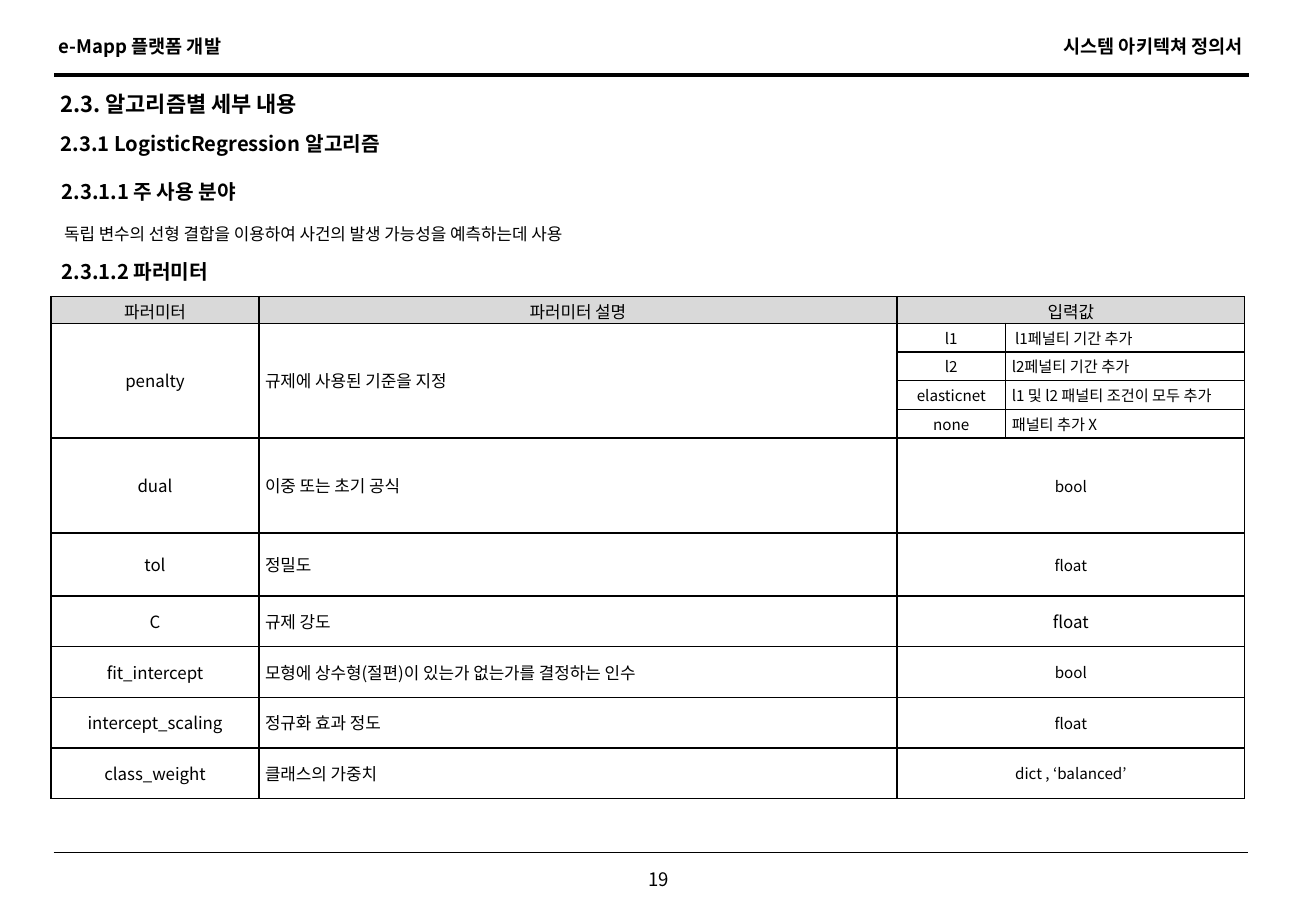
from dataclasses import dataclass

from lxml.etree import SubElement
from pptx import Presentation
from pptx.dml.color import RGBColor
from pptx.enum.shapes import MSO_CONNECTOR
from pptx.enum.text import MSO_ANCHOR, PP_ALIGN
from pptx.oxml.ns import qn
from pptx.slide import Slide
from pptx.table import Table, _Cell
from pptx.text.text import _Paragraph
from pptx.util import Cm, Pt

BLACK = RGBColor(0x00, 0x00, 0x00)
HEADER_GRAY = RGBColor(0xD9, 0xD9, 0xD9)
FONT = "Noto Sans CJK KR"
LEFT, CENTER, RIGHT = PP_ALIGN.LEFT, PP_ALIGN.CENTER, PP_ALIGN.RIGHT
TOP, MIDDLE = MSO_ANCHOR.TOP, MSO_ANCHOR.MIDDLE


@dataclass
class Label:
    text: str
    left: float
    top: float
    width: float
    height: float
    size: float
    bold: bool = True
    align: PP_ALIGN = LEFT
    anchor: MSO_ANCHOR = MIDDLE
    margin_x: float = 0.25
    margin_y: float = 0.13


@dataclass
class Rule:
    left: float
    top: float
    width: float
    weight: float


@dataclass
class Parameter:
    name: str
    description: str
    value: str
    height: float
    value_size: float = 9


LABELS = [
    # Page header and footer
    Label("e-Mapp 플랫폼 개발", 0.97, 0.61, 4.32, 0.74, 11, anchor=TOP),
    Label("시스템 아키텍쳐 정의서", 21.54, 0.61, 4.7, 0.74, 11, align=RIGHT, anchor=TOP),
    Label("19", 13.23, 18.03, 1.09, 0.74, 11, bold=False, align=CENTER, anchor=TOP),
    # Headings and usage
    Label("2.3. 알고리즘별 세부 내용", 1.02, 1.65, 24.77, 1.04, 13),
    Label("2.3.1 LogisticRegression 알고리즘", 1.02, 2.49, 24.77, 1.04, 12),
    Label("2.3.1.1 주 사용 분야", 1.04, 3.48, 24.77, 1.04, 12),
    Label("독립 변수의 선형 결합을 이용하여 사건의 발생 가능성을 예측하는데 사용",
          1.24, 4.45, 24.79, 0.86, 10, bold=False, margin_x=0.1, margin_y=0.1),
    Label("2.3.1.2 파러미터", 1.04, 5.16, 24.77, 1.04, 12),
]
RULES = [Rule(1.14, 1.57, 24.97, 2.75), Rule(1.12, 17.83, 24.97, 0.75)]

TABLE_LEFT, TABLE_TOP = 1.07, 6.2
COLUMN_WIDTHS = [4.34, 13.34, 2.27, 5.0]
HEADER_HEIGHT, PENALTY_HEIGHT = 0.56, 0.6
HEADINGS = ["파러미터", "파러미터 설명", "입력값"]
PENALTIES = [
    ("l1", " l1페널티 기간 추가"),
    ("l2", "l2페널티 기간 추가"),
    ("elasticnet", "l1 및 l2 패널티 조건이 모두 추가"),
    ("none", "패널티 추가 X"),
]
PARAMETERS = [
    Parameter("dual", "이중 또는 초기 공식", "bool", 1.99),
    Parameter("tol", "정밀도", "float", 1.31),
    Parameter("C", "규제 강도", "float", 1.06, 10),
    Parameter("fit_intercept", "모형에 상수형(절편)이 있는가 없는가를 결정하는 인수", "bool", 1.06),
    Parameter("intercept_scaling", "정규화 효과 정도", "float", 1.06),
    Parameter("class_weight", "클래스의 가중치", "dict , ‘balanced’", 1.06),
]


def write(paragraph: _Paragraph, text: str, size: float, align: PP_ALIGN, bold: bool = False) -> None:
    paragraph.alignment = align
    run = paragraph.add_run()
    run.text = text
    for key, value in {"size": Pt(size), "bold": bold, "name": FONT}.items():
        setattr(run.font, key, value)
    run.font.color.rgb = BLACK
    SubElement(run.font._element, qn("a:ea"), typeface=FONT)


def draw_label(slide: Slide, label: Label) -> None:
    box = slide.shapes.add_textbox(Cm(label.left), Cm(label.top), Cm(label.width), Cm(label.height))
    frame_format = {
        "word_wrap": True,
        "vertical_anchor": label.anchor,
        "margin_left": Cm(label.margin_x),
        "margin_right": Cm(label.margin_x),
        "margin_top": Cm(label.margin_y),
        "margin_bottom": Cm(label.margin_y),
    }
    for key, value in frame_format.items():
        setattr(box.text_frame, key, value)
    write(box.text_frame.paragraphs[0], label.text, label.size, label.align, label.bold)


def draw_rule(slide: Slide, rule: Rule) -> None:
    line = slide.shapes.add_connector(
        MSO_CONNECTOR.STRAIGHT, Cm(rule.left), Cm(rule.top), Cm(rule.left + rule.width), Cm(rule.top))
    line.line.color.rgb = BLACK
    line.line.width = Pt(rule.weight)
    SubElement(line._element.spPr, qn("a:effectLst"))


def style_cell(cell: _Cell, is_header: bool) -> None:
    cell_format = {
        "vertical_anchor": MIDDLE,
        "margin_left": Cm(0.13),
        "margin_right": Cm(0.13),
        "margin_top": Cm(0.05),
        "margin_bottom": Cm(0 if is_header else 0.05),
    }
    for key, value in cell_format.items():
        setattr(cell, key, value)
    properties = cell._tc.get_or_add_tcPr()
    for side in ("lnL", "lnR", "lnT", "lnB"):
        border = SubElement(properties, qn(f"a:{side}"), w=str(Pt(1)))
        fill = SubElement(border, qn("a:solidFill"))
        SubElement(fill, qn("a:srgbClr"), val=str(BLACK))
    if is_header:
        cell.fill.solid()
        cell.fill.fore_color.rgb = HEADER_GRAY
    else:
        cell.fill.background()


def fill_row(table: Table, row: int, texts: list[str], value_size: float = 10,
             description_align: PP_ALIGN = LEFT) -> None:
    """Write name, description and a value that spans both value columns."""
    table.cell(row, 2).merge(table.cell(row, 3))
    formats = [(10, CENTER), (10, description_align), (value_size, CENTER)]
    for column, (text, (size, align)) in enumerate(zip(texts, formats)):
        write(table.cell(row, column).text_frame.paragraphs[0], text, size, align)


def draw_parameter_table(slide: Slide) -> None:
    heights = [HEADER_HEIGHT] + [PENALTY_HEIGHT] * len(PENALTIES) + [p.height for p in PARAMETERS]
    table = slide.shapes.add_table(
        len(heights), len(COLUMN_WIDTHS), Cm(TABLE_LEFT), Cm(TABLE_TOP),
        Cm(sum(COLUMN_WIDTHS)), Cm(sum(heights))).table
    table.first_row = table.horz_banding = False
    for column, width in zip(table.columns, COLUMN_WIDTHS):
        column.width = Cm(width)
    for index, height in enumerate(heights):
        table.rows[index].height = Cm(height)
        for cell in table.rows[index].cells:
            style_cell(cell, index == 0)

    fill_row(table, 0, HEADINGS, description_align=CENTER)

    # Penalty group
    for column, (text, align) in enumerate([("penalty", CENTER), ("규제에 사용된 기준을 지정", LEFT)]):
        table.cell(1, column).merge(table.cell(len(PENALTIES), column))
        write(table.cell(1, column).text_frame.paragraphs[0], text, 10, align)
    for row, (option, meaning) in enumerate(PENALTIES, start=1):
        write(table.cell(row, 2).text_frame.paragraphs[0], option, 9, CENTER)
        write(table.cell(row, 3).text_frame.paragraphs[0], meaning, 9, LEFT)

    # Single-value parameters
    for row, parameter in enumerate(PARAMETERS, start=len(PENALTIES) + 1):
        fill_row(table, row, [parameter.name, parameter.description, parameter.value],
                 parameter.value_size)


def main() -> None:
    presentation = Presentation()
    presentation.slide_width, presentation.slide_height = Cm(27.51), Cm(19.05)
    slide = presentation.slides.add_slide(presentation.slide_layouts[6])
    for rule in RULES:
        draw_rule(slide, rule)
    for label in LABELS:
        draw_label(slide, label)
    draw_parameter_table(slide)
    presentation.save("out.pptx")


if __name__ == "__main__":
    main()
